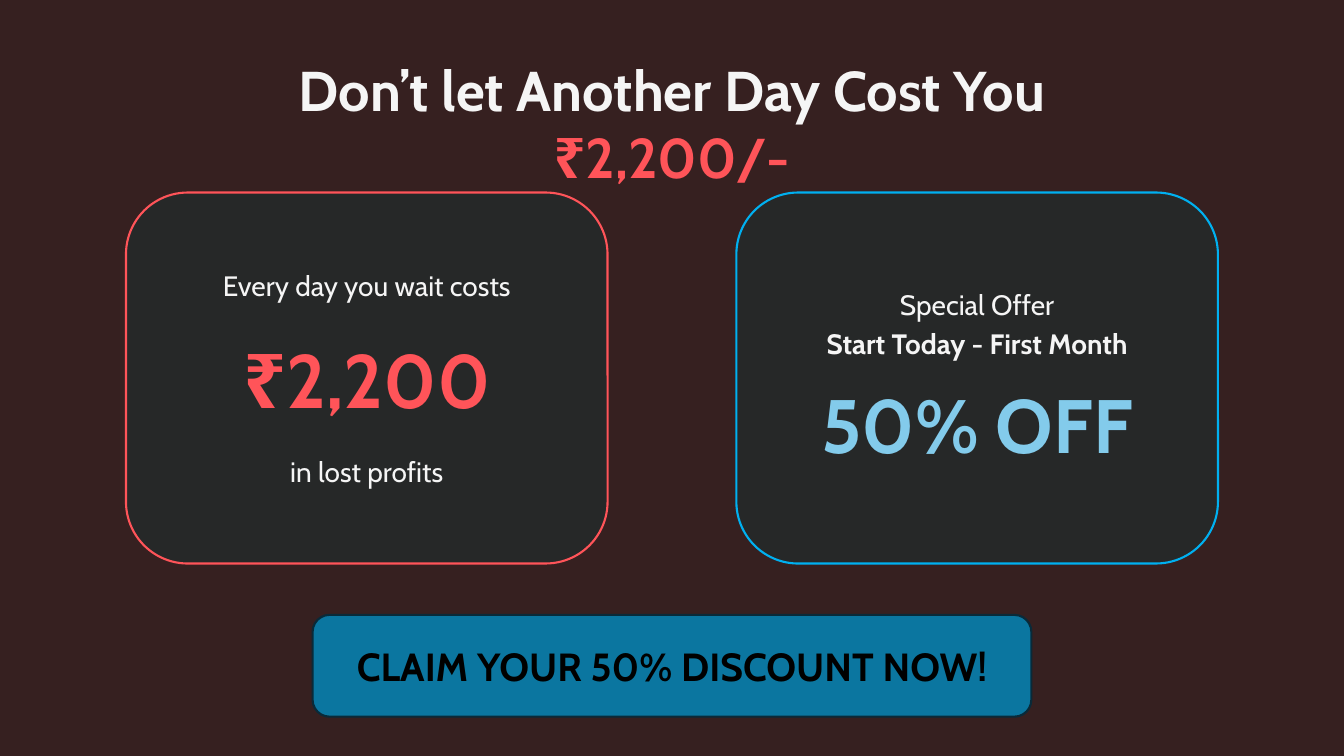
from pptx import Presentation
from pptx.dml.color import RGBColor
from pptx.enum import shapes, text
from pptx.util import Pt

COLORS = {
    "background": "362020", "card": "262828", "light": "F5F5F5",
    "loss": "FF5459", "offer_line": "00B0F0", "offer": "83CBEB",
    "button": "0B76A0", "button_line": "092A39", "black": "000000",
}
SLIDE_W, SLIDE_H = 960, 540
CARD_W, CARD_H, CARD_TOP, CARD_MARGIN = 344, 265, 137.5, 90


def rgb(name):
    return RGBColor.from_string(COLORS[name])


def add_run(paragraph, wording, size, color, bold):
    run = paragraph.add_run()
    run.text = wording
    font_format = {"name": "Cabin", "size": Pt(size), "bold": bold}
    for attribute, value in font_format.items():
        setattr(run.font, attribute, value)
    run.font.color.rgb = rgb(color)


def place(part, box):
    for attribute, value in zip(("left", "top", "width", "height"), box):
        setattr(part, attribute, Pt(value))


def add_headline(slide, box):
    headline = slide.shapes.title
    place(headline, box)
    frame = headline.text_frame
    frame_format = {
        "word_wrap": True,
        "auto_size": text.MSO_AUTO_SIZE.NONE,
        "vertical_anchor": text.MSO_ANCHOR.TOP,
    }
    for attribute, value in frame_format.items():
        setattr(frame, attribute, value)
    paragraph = frame.paragraphs[0]
    paragraph.alignment = text.PP_ALIGN.CENTER
    paragraph.line_spacing = 1.0
    add_run(paragraph, "Don’t let Another Day Cost You ", 40, "light", True)
    add_run(paragraph, "₹2,200/-", 40, "loss", True)


def add_panel(slide, box, fill, line, lines):
    """Rounded panel; lines hold (wording, size, color, bold, space before)."""
    panel = slide.shapes.add_shape(
        shapes.MSO_SHAPE.ROUNDED_RECTANGLE, *(Pt(value) for value in box))
    panel.shadow.inherit = False
    panel.fill.solid()
    panel.fill.fore_color.rgb = rgb(fill)
    panel.line.color.rgb = rgb(line)
    panel.line.width = Pt(1.5)
    frame = panel.text_frame
    frame.word_wrap = True
    frame.vertical_anchor = text.MSO_ANCHOR.MIDDLE
    for index, (wording, size, color, bold, gap) in enumerate(lines):
        paragraph = frame.add_paragraph() if index else frame.paragraphs[0]
        paragraph.alignment = text.PP_ALIGN.CENTER
        if gap:
            paragraph.space_before = Pt(gap)
        add_run(paragraph, wording, size, color, bold)


def main():
    deck = Presentation()
    deck.slide_width, deck.slide_height = Pt(SLIDE_W), Pt(SLIDE_H)
    slide = deck.slides.add_slide(deck.slide_layouts[5])
    slide.background.fill.solid()
    slide.background.fill.fore_color.rgb = rgb("background")

    add_headline(slide, (129.6, 36, 700.8, 104))

    offer_left = SLIDE_W - CARD_MARGIN - CARD_W
    add_panel(slide, (offer_left, CARD_TOP, CARD_W, CARD_H), "card", "offer_line", [
        ("Special Offer", 20, "light", False, 0),
        ("Start Today - First Month", 20, "light", True, 3.7),
        ("50% OFF", 54, "offer", True, 12.8),
    ])
    button_w = 513.4
    add_panel(slide, ((SLIDE_W - button_w) / 2, 439.2, button_w, 72.7),
              "button", "button_line", [
        ("CLAIM YOUR 50% DISCOUNT NOW!", 28, "black", True, 0),
    ])
    add_panel(slide, (CARD_MARGIN, CARD_TOP, CARD_W, CARD_H), "card", "loss", [
        ("Every day you wait costs", 20, "light", False, 0),
        ("₹2,200", 54, "loss", True, 22),
        ("in lost profits", 20, "light", False, 22),
    ])
    deck.save("out.pptx")


if __name__ == "__main__":
    main()
